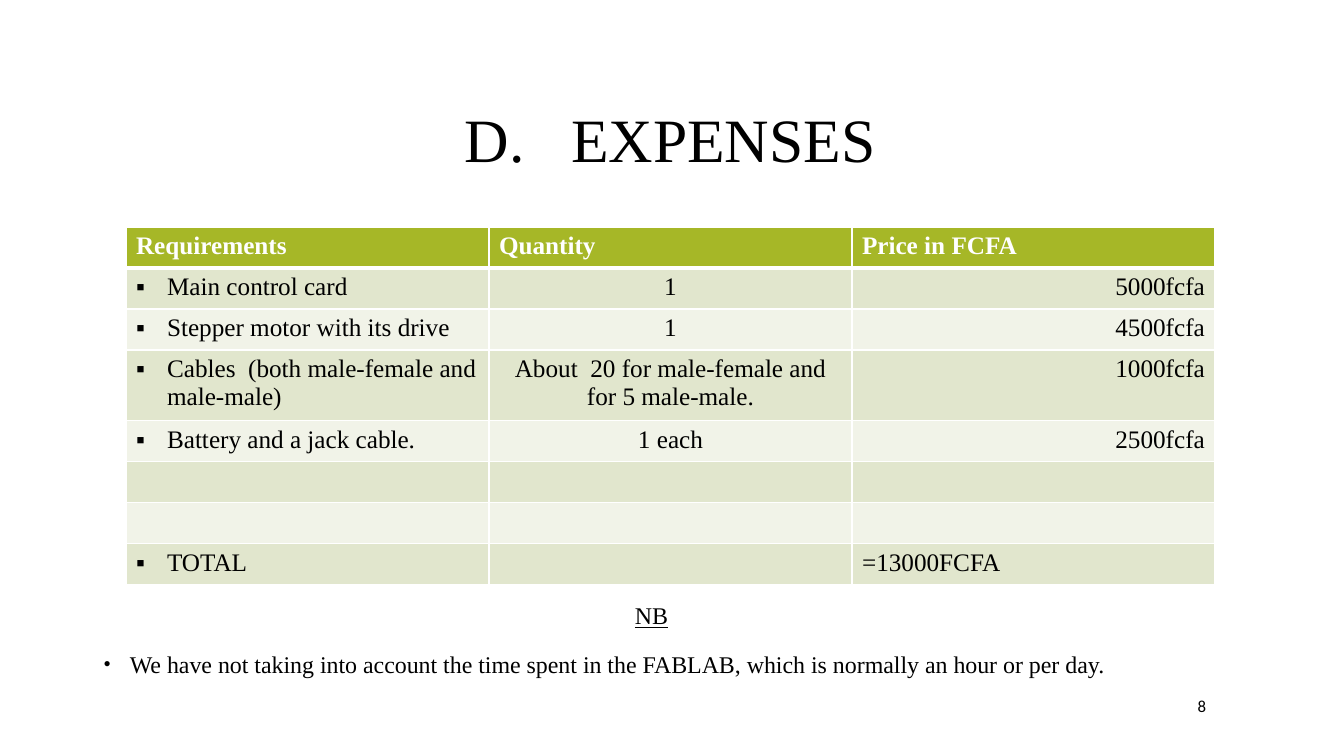
from lxml import etree
from pptx import Presentation
from pptx.dml.color import RGBColor
from pptx.enum.text import MSO_ANCHOR, PP_ALIGN
from pptx.oxml.ns import qn
from pptx.util import Pt

LEFT, CENTER, RIGHT = PP_ALIGN.LEFT, PP_ALIGN.CENTER, PP_ALIGN.RIGHT
TOP, MIDDLE = MSO_ANCHOR.TOP, MSO_ANCHOR.MIDDLE

EMU_PER_PX = 914400 / 100.8
SERIF = "Times New Roman"
SANS = "Calibri"
COLORS = {
    "ink": "000000",
    "white": "FFFFFF",
    "header": "A6B727",
    "band_dark": "E1E6CD",
    "band_light": "F1F3E8",
}
HEADINGS = ["Requirements", "Quantity", "Price in FCFA"]
EXPENSES = [
    ("Main control card", "1", "5000fcfa"),
    ("Stepper motor with its drive", "1", "4500fcfa"),
    ("Cables  (both male-female and male-male)",
     "About  20 for male-female and for 5 male-male.", "1000fcfa"),
    ("Battery and a jack cable.", "1 each", "2500fcfa"),
    ("", "", ""),
    ("", "", ""),
    ("TOTAL", "", "=13000FCFA"),
]


def px(value):
    return round(value * EMU_PER_PX)


def color(name):
    return RGBColor.from_string(COLORS[name])


def add_span(para, text, size, font=SERIF, ink="ink", bold=False, underline=False):
    span = para.add_run()
    span.text = text
    span.font.size = Pt(size)
    span.font.name = font
    span.font.bold = bold
    span.font.underline = underline
    span.font.color.rgb = color(ink)
    return span


def add_bullet(para, char, margin, hang, percent=100):
    properties = para._p.get_or_add_pPr()
    properties.set("marL", str(px(margin)))
    properties.set("indent", str(-px(hang)))
    bullet_color = etree.SubElement(properties, qn("a:buClr"))
    etree.SubElement(bullet_color, qn("a:srgbClr"), val=COLORS["ink"])
    etree.SubElement(properties, qn("a:buSzPct"), val=str(percent * 1000))
    etree.SubElement(properties, qn("a:buFont"), typeface="Arial")
    etree.SubElement(properties, qn("a:buChar"), char=char)


def add_box(page, left, top, width, height, align, anchor=TOP):
    box = page.shapes.add_textbox(px(left), px(top), px(width), px(height))
    frame = box.text_frame
    frame.word_wrap = True
    frame.vertical_anchor = anchor
    frame.paragraphs[0].alignment = align
    return frame


def add_title(page):
    para = add_box(page, 126, 68, 1089, 149, CENTER, MIDDLE).paragraphs[0]
    para.line_spacing = 0.9
    add_span(para, "D.", 44)
    gap = add_span(para, " ", 44)
    gap.font._element.set("spc", "2200")
    add_span(para, "EXPENSES", 44)


def set_borders(cell, bottom_width):
    properties = cell._tc.get_or_add_tcPr()
    widths = {"a:lnL": 1, "a:lnR": 1, "a:lnT": 1, "a:lnB": bottom_width}
    for side, width in widths.items():
        line = etree.SubElement(properties, qn(side), w=str(Pt(width)))
        fill = etree.SubElement(line, qn("a:solidFill"))
        etree.SubElement(fill, qn("a:srgbClr"), val=COLORS["white"])


def fill_cell(cell, text, fill, align=LEFT, header=False, bullet=False):
    set_borders(cell, 3 if header else 1)
    cell.fill.solid()
    cell.fill.fore_color.rgb = color(fill)
    if not text:
        return
    para = cell.text_frame.paragraphs[0]
    para.alignment = align
    if bullet:
        add_bullet(para, "▪", 31, 31)
    add_span(para, text, 18, ink="white" if header else "ink", bold=header)


def add_expense_table(page):
    row_count = len(EXPENSES) + 1
    frame = page.shapes.add_table(
        row_count, len(HEADINGS), px(126), px(227), px(1089), px(41 * row_count))
    table = frame.table
    table.first_row = False
    table.horz_banding = False
    for column in table.columns:
        column.width = px(363)
    for column, heading in enumerate(HEADINGS):
        fill_cell(table.cell(0, column), heading, "header", header=True)
    for row, expense in enumerate(EXPENSES, 1):
        band = "band_dark" if row % 2 else "band_light"
        price_align = LEFT if expense[0] == "TOTAL" else RIGHT
        for column, align in enumerate((LEFT, CENTER, price_align)):
            fill_cell(table.cell(row, column), expense[column], band, align,
                      bullet=column == 0)


def add_remarks(page):
    frame = add_box(page, 89, 596, 1125, 118, CENTER)
    add_span(frame.paragraphs[0], "NB", 17.1, underline=True)
    para = frame.add_paragraph()
    para.space_before = Pt(14)
    add_bullet(para, "•", 31, 26, 80)
    add_span(para, "We have not taking into account the time spent in the FABLAB, "
                   "which is normally an hour or per day.", 17.1)


def add_page_number(page):
    frame = add_box(page, 1028, 686, 188, 40, RIGHT, MIDDLE)
    add_span(frame.paragraphs[0], "8", 12, SANS)


def main():
    deck = Presentation()
    deck.slide_width = px(1344)
    deck.slide_height = px(756)
    page = deck.slides.add_slide(deck.slide_layouts[6])
    add_title(page)
    add_page_number(page)
    add_remarks(page)
    add_expense_table(page)
    deck.save("out.pptx")


if __name__ == "__main__":
    main()
